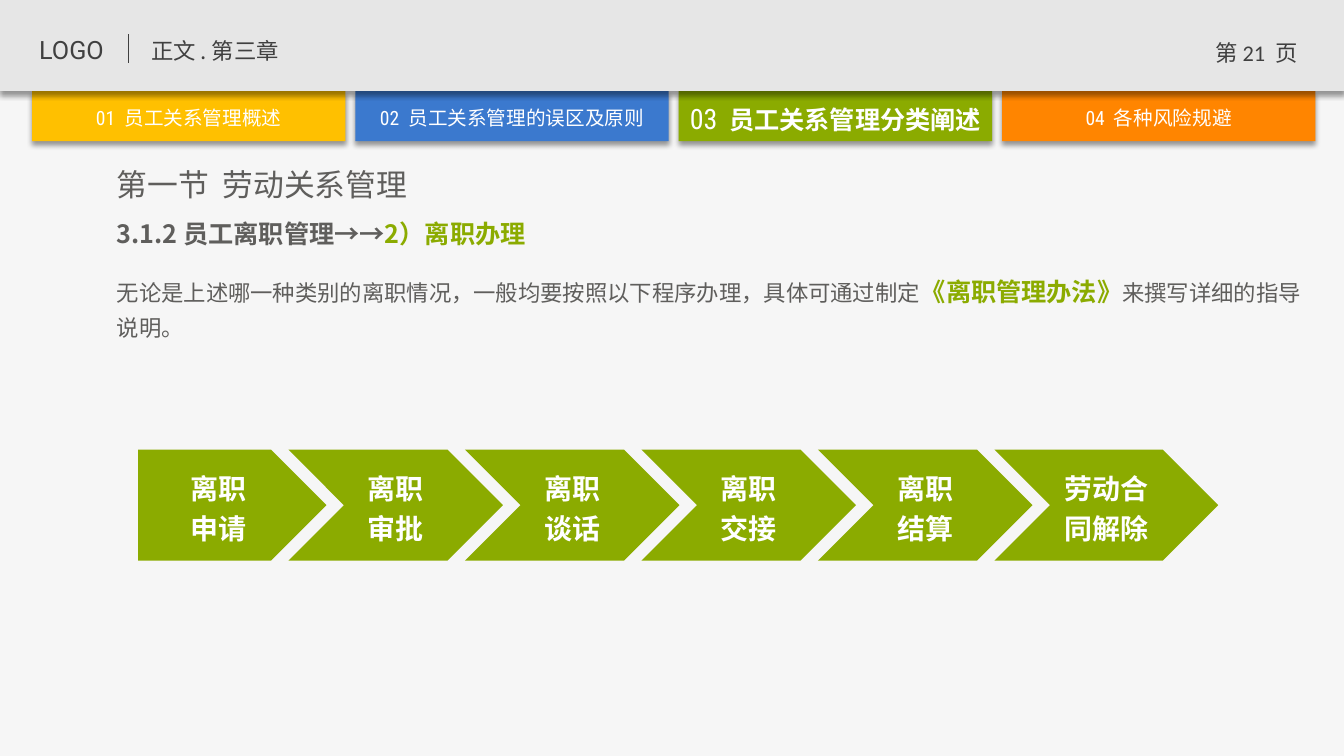
from lxml import etree
from pptx import Presentation
from pptx.dml.color import RGBColor
from pptx.enum.shapes import MSO_CONNECTOR, MSO_SHAPE
from pptx.enum.text import MSO_ANCHOR, MSO_AUTO_SIZE, PP_ALIGN
from pptx.oxml import parse_xml
from pptx.oxml.ns import nsdecls, qn
from pptx.util import Cm, Pt

RECTANGLE, PENTAGON, CHEVRON = MSO_SHAPE.RECTANGLE, MSO_SHAPE.PENTAGON, MSO_SHAPE.CHEVRON
LEFT, CENTER = PP_ALIGN.LEFT, PP_ALIGN.CENTER
TOP, MIDDLE = MSO_ANCHOR.TOP, MSO_ANCHOR.MIDDLE
STRAIGHT, NO_FIT = MSO_CONNECTOR.STRAIGHT, MSO_AUTO_SIZE.NONE

PAPER = RGBColor(0xF6, 0xF6, 0xF6)
BAR = RGBColor(0xE6, 0xE6, 0xE6)
INK = RGBColor(0x40, 0x40, 0x40)
GREY = RGBColor(0x5F, 0x5E, 0x5C)
WHITE = RGBColor(0xFF, 0xFF, 0xFF)
YELLOW = RGBColor(0xFF, 0xC0, 0x00)
BLUE = RGBColor(0x3B, 0x79, 0xCE)
GREEN = RGBColor(0x8B, 0xAB, 0x00)
ORANGE = RGBColor(0xFF, 0x85, 0x00)

HAN, ROBOTO, CONDENSED, CALIBRI = "Noto Sans CJK SC", "Roboto", "Roboto Condensed", "Calibri"

TABS = [
    (YELLOW, [("01  ", {"font": CONDENSED}), ("员工关系管理概述", {})]),
    (BLUE, [("02  ", {"font": CONDENSED}), ("员工关系管理的误区及原则", {})]),
    (GREEN, [("03", {"font": CONDENSED, "size": 20}), ("  ", {"font": CONDENSED, "size": 18}),
             ("员工关系管理分类阐述", {"size": 18, "bold": True})]),
    (ORANGE, [("04  ", {"font": CONDENSED}), ("各种风险规避", {})]),
]
HEADER_TEXTS = [
    ((0.74, 0.74, 2.49, 1.02), LEFT, [("LOGO", {"font": ROBOTO, "size": 18})]),
    ((3.56, 0.81, 8.31, 0.94), LEFT, [("正文 . 第三章", {})]),
    ((30.15, 0.86, 3.05, 1.02), CENTER,
     [("第 ", {}), ("21  ", {"font": CALIBRI}), ("页", {})]),
]
SECTION = [("第一节  劳动关系管理", {"size": 22})]
TOPIC = [("3.1.2 员工离职管理→→", {}), ("2）离职办理", {"color": GREEN})]
BODY = [
    ("无论是上述哪一种类别的离职情况，一般均要按照以下程序办理，具体可通过制定", {}),
    ("《离职管理办法》", {"size": 18, "color": GREEN, "bold": True}),
    ("来撰写详细的指导说明。", {}),
]
STEPS = [["离职", "申请"], ["离职", "审批"], ["离职", "谈话"],
         ["离职", "交接"], ["离职", "结算"], ["劳动合同解除"]]

TAB_LEFT, TAB_TOP, TAB_WIDTH, TAB_HEIGHT, TAB_PITCH = 0.81, 2.29, 7.9, 1.27, 8.15
STEP_LEFT, STEP_TOP, STEP_HEIGHT, STEP_PITCH = 3.48, 11.33, 2.8, 4.45
CHEVRON_WIDTH, FIRST_WIDTH, LAST_WIDTH = 5.41, 4.75, 5.64


def place(box, left, top, width, height):
    """Move and size a box in centimetres."""
    box.left, box.top, box.width, box.height = Cm(left), Cm(top), Cm(width), Cm(height)


def write(box, paragraphs, size=16, color=GREY, bold=False, align=LEFT,
          anchor=TOP, spacing=1.0, after=0):
    """Fill a box with paragraphs of (text, format) spans."""
    frame = box.text_frame
    frame.word_wrap, frame.auto_size, frame.vertical_anchor = True, NO_FIT, anchor
    for index, spans in enumerate(paragraphs):
        para = frame.add_paragraph() if index else frame.paragraphs[0]
        para.alignment, para.line_spacing = align, spacing
        para.space_before, para.space_after = Pt(0), Pt(after)
        for text, style in spans:
            span = para.add_run()
            span.text = text
            span.font.size = Pt(style.get("size", size))
            span.font.bold = style.get("bold", bold)
            span.font.color.rgb = style.get("color", color)
            name = style.get("font", HAN)
            span.font.name = name
            etree.SubElement(span.font._element, qn("a:ea")).set("typeface", name)


def add_block(page, kind, color, area, shadow=False):
    """Add a plain filled shape, with a soft lower shadow if wanted."""
    block = page.shapes.add_shape(kind, *map(Cm, area))
    block.fill.solid()
    block.fill.fore_color.rgb = color
    block.line.fill.background()
    block.shadow.inherit = False
    if shadow:
        effects = block._element.spPr.find(qn("a:effectLst"))
        effects.append(parse_xml(
            f'<a:outerShdw {nsdecls("a")} blurRad="{Pt(4)}" dist="{Pt(3)}" dir="5400000" '
            'algn="t" rotWithShape="0"><a:srgbClr val="000000"><a:alpha val="40000"/>'
            '</a:srgbClr></a:outerShdw>'))
    return block


def add_header(page):
    """Draw the chapter tabs and the top bar."""
    for index, (color, spans) in enumerate(TABS):
        area = (TAB_LEFT + index * TAB_PITCH, TAB_TOP, TAB_WIDTH, TAB_HEIGHT)
        tab = add_block(page, RECTANGLE, color, area, shadow=True)
        write(tab, [spans], size=14, color=WHITE, align=CENTER, anchor=MIDDLE)
        frame = tab.text_frame
        frame.margin_left = frame.margin_right = frame.margin_bottom = 0
        frame.margin_top = Cm(0.1)
    add_block(page, RECTANGLE, BAR, (0, 0, 33.88, TAB_TOP), shadow=True)
    for area, align, spans in HEADER_TEXTS:
        box = page.shapes.add_textbox(*map(Cm, area))
        write(box, [spans], color=INK, align=align)
    divider = page.shapes.add_connector(STRAIGHT, Cm(3.23), Cm(0.86), Cm(3.23), Cm(1.6))
    divider.line.color.rgb = INK
    divider.line.width = Pt(0.75)
    etree.SubElement(divider._element.spPr, qn("a:effectLst"))


def add_text(page):
    """Fill the section title, the topic line and the body."""
    title, body = page.placeholders
    place(title, 2.69, 4.04, 13.82, 1.19)
    write(title, [SECTION])
    topic = page.shapes.add_textbox(Cm(2.69), Cm(5.16), Cm(14.66), Cm(1.24))
    write(topic, [TOPIC], size=18, bold=True, spacing=1.3)
    place(body, 2.69, 6.6, 30.51, 2.13)
    write(body, [BODY], spacing=1.3, after=6)
    properties = body.text_frame.paragraphs[0]._p.get_or_add_pPr()
    properties.set("marL", "0")
    properties.set("indent", "0")
    etree.SubElement(properties, qn("a:buNone"))


def add_steps(page):
    """Draw the row of process arrows."""
    last = len(STEPS) - 1
    for index, lines in enumerate(STEPS):
        right = STEP_LEFT + FIRST_WIDTH + index * STEP_PITCH
        width = {0: FIRST_WIDTH, last: LAST_WIDTH}.get(index, CHEVRON_WIDTH)
        left = right - (CHEVRON_WIDTH if index else FIRST_WIDTH)
        kind = CHEVRON if index else PENTAGON
        step = add_block(page, kind, GREEN, (left, STEP_TOP, width, STEP_HEIGHT))
        write(step, [[(line, {})] for line in lines], size=20, color=WHITE, bold=True,
              align=CENTER, anchor=MIDDLE, spacing=1.2)


def main():
    """Build the slide and save it."""
    deck = Presentation()
    deck.slide_width, deck.slide_height = Cm(33.88), Cm(19.05)
    page = deck.slides.add_slide(deck.slide_layouts[1])
    page.background.fill.solid()
    page.background.fill.fore_color.rgb = PAPER
    add_header(page)
    add_text(page)
    add_steps(page)
    deck.save("out.pptx")


if __name__ == "__main__":
    main()
